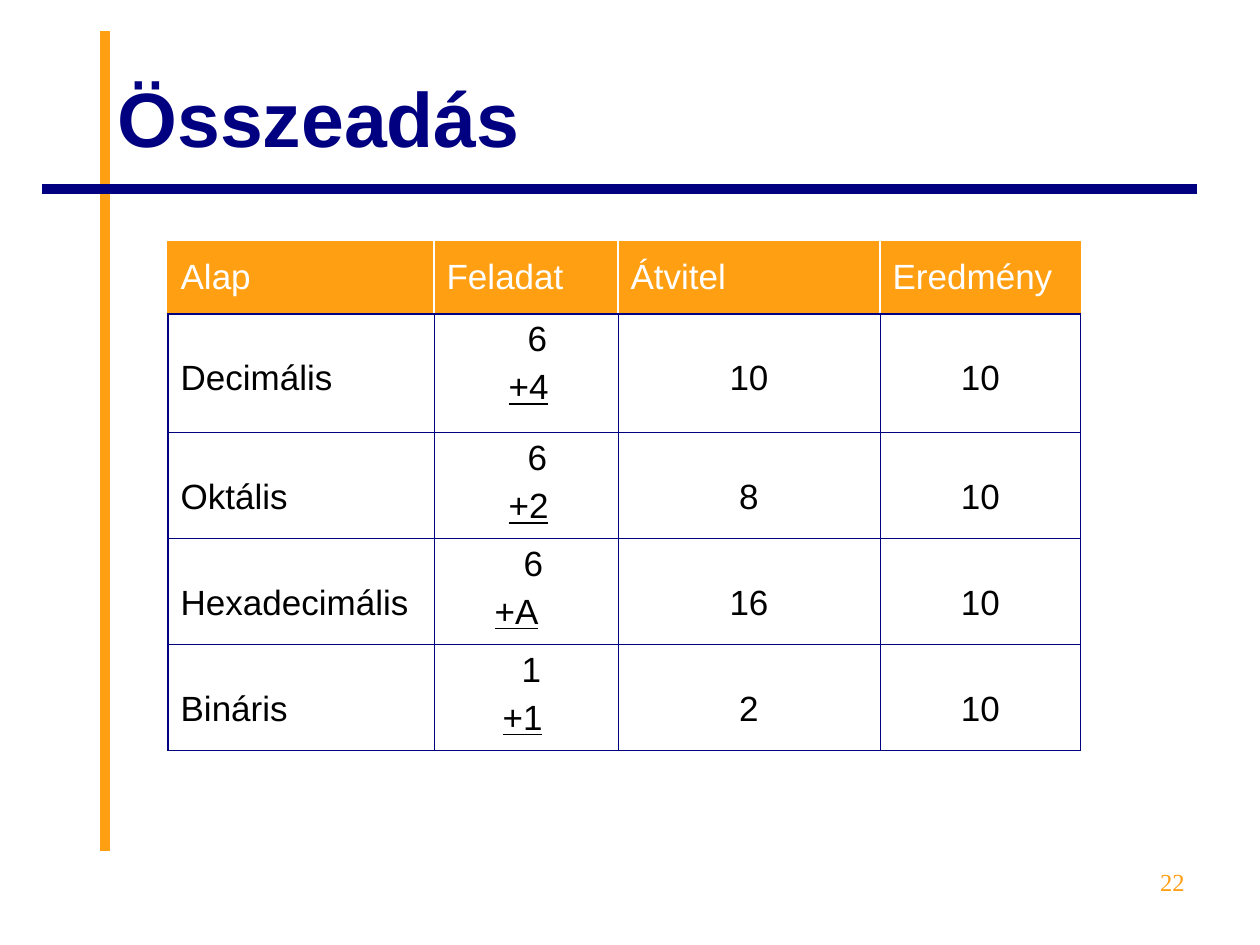
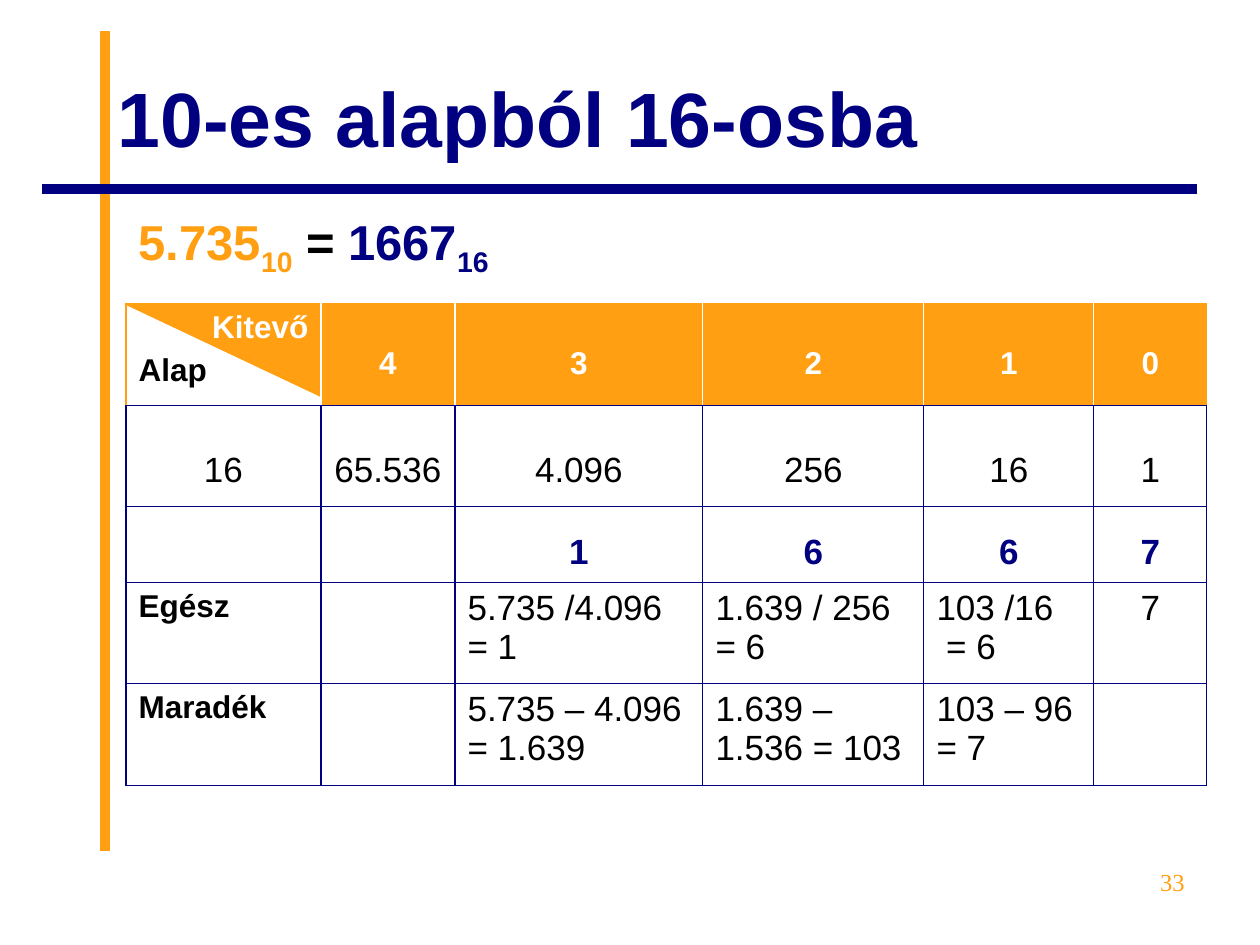
from lxml import etree
from pptx import Presentation
from pptx.dml.color import RGBColor
from pptx.enum.shapes import MSO_CONNECTOR as CONN, MSO_SHAPE as SHAPE
from pptx.enum.text import MSO_ANCHOR as ANCHOR, PP_ALIGN as ALIGN
from pptx.oxml import parse_xml
from pptx.oxml.ns import nsdecls, qn
from pptx.util import Emu, Pt

C = {"orange": "FF9F11", "navy": "000080", "white": "FFFFFF", "black": "000000"}
PX_PER_INCH = 126
NO_TABLE_STYLE = "{2D5ABB26-0587-4C30-8999-92F81FD0307C}"


def px(n):
    return Emu(round(n * 914400 / PX_PER_INCH))


def rgb(name):
    return RGBColor.from_string(C[name])


class Deck:
    def __init__(self):
        self.prs = Presentation()
        self.prs.slide_width, self.prs.slide_height = px(1260), px(945)
        self.s = None

    def slide(self, title, number):
        """Start a slide with the crossed bars, the title and the page number."""
        self.s = self.prs.slides.add_slide(self.prs.slide_layouts[6])
        self.line(105, 851, 105, 31, "orange")
        self.line(1197, 189, 42, 189, "navy")
        self.text(title, 105, 38, 1092, 157, size=44, color="navy", bold=True)
        self.text(str(number), 903, 861, 294, 65, anchor=ANCHOR.TOP, size=14,
                  color="orange", font="Times New Roman", align=ALIGN.RIGHT)

    def line(self, x1, y1, x2, y2, color):
        ln = self.s.shapes.add_connector(CONN.STRAIGHT, px(x1), px(y1), px(x2), px(y2))
        ln.line.color.rgb = rgb(color)
        ln.line.width = Pt(5.5)
        etree.SubElement(ln._element.spPr, qn("a:effectLst"))

    def shape(self, kind, x, y, w, h, color, rotation=0):
        sp = self.s.shapes.add_shape(kind, px(x), px(y), px(w), px(h))
        sp.shadow.inherit = False
        sp.fill.solid()
        sp.fill.fore_color.rgb = rgb(color)
        sp.line.fill.background()
        sp.rotation = rotation

    def text(self, text, x, y, w, h, anchor=ANCHOR.MIDDLE, **style):
        tf = self.s.shapes.add_textbox(px(x), px(y), px(w), px(h)).text_frame
        tf.word_wrap = True
        tf.vertical_anchor = anchor
        self.para(tf.paragraphs[0], text, **style)

    def para(self, p, text, size=20, color="black", bold=False, font="Arial",
             align=ALIGN.LEFT, spacing=1.0, before=0, indent=0, underline=False):
        p.text = text
        p.alignment = align
        p.line_spacing = spacing
        p.space_before = Pt(before)
        if indent:
            pPr = p._p.get_or_add_pPr()
            pPr.set("marL", str(px(indent)))
            pPr.set("indent", "0")
        for r in p.runs:
            self.style(r, size, color, bold, font, underline)

    def style(self, r, size, color, bold, font="Arial", underline=False):
        r.font.size = Pt(size)
        r.font.color.rgb = rgb(color)
        r.font.bold = bold
        r.font.name = font
        r.font.underline = underline

    def table(self, x, y, cols, rows, header, inner=0.75):
        """Add a ruled table whose row number `header` is the orange one."""
        frame = self.s.shapes.add_table(len(rows), len(cols), px(x), px(y),
                                        px(sum(cols)), px(sum(rows)))
        tb = frame.table
        tb.first_row = tb.horz_banding = False
        tb._tbl.tblPr.find(qn("a:tableStyleId")).text = NO_TABLE_STYLE
        for col, w in zip(tb.columns, cols):
            col.width = px(w)
        for row, h in zip(tb.rows, rows):
            row.height = px(h)
        last = len(cols) - 1
        for i in range(len(rows)):
            for j in range(len(cols)):
                cell = tb.cell(i, j)
                if i < header:
                    self.borders(cell, "white", "white", "white", "orange")
                elif i == header:
                    self.borders(cell, "white" if j else "orange",
                                 "white" if j < last else "orange", "orange", "navy")
                else:
                    self.borders(cell, "navy", "navy", "navy", "navy",
                                 inner if j else 0.75, inner if j < last else 0.75)
                if i == header:
                    cell.fill.solid()
                    cell.fill.fore_color.rgb = rgb("orange")
                else:
                    cell.fill.background()
        return tb

    def borders(self, cell, left, right, top, bottom, left_w=0.75, right_w=0.75):
        tcPr = cell._tc.get_or_add_tcPr()
        sides = (("L", left, left_w), ("R", right, right_w),
                 ("T", top, 0.75), ("B", bottom, 0.75))
        for side, color, width in sides:
            tcPr.append(parse_xml(
                f'<a:ln{side} {nsdecls("a")} w="{Pt(width)}"><a:solidFill>'
                f'<a:srgbClr val="{C[color]}"/></a:solidFill></a:ln{side}>'))

    def row(self, tb, i, texts, start=0, **style):
        """Fill one cell per text along row i, from column `start` on."""
        for j, text in enumerate(texts, start):
            self.para(tb.cell(i, j).text_frame.paragraphs[0], text, **style)


def addition_slide(deck):
    deck.slide("Összeadás", 22)
    tb = deck.table(168, 242, [266, 184, 262, 201], [72, 119, 106, 106, 106],
                    header=0, inner=0.45)
    deck.row(tb, 0, ["Alap", "Feladat", "Átvitel", "Eredmény"],
             color="white", spacing=1.25)
    # base, first term, its indent, second term, its indent, carry
    sums = [("Decimális", "6", 81, "+4", 62, "10"),
            ("Oktális", "6", 81, "+2", 62, "8"),
            ("Hexadecimális", "6", 77, "+A", 48, "16"),
            ("Bináris", "1", 75, "+1", 56, "2")]
    for i, (base, a, a_indent, b, b_indent, carry) in enumerate(sums, 1):
        deck.row(tb, i, [base], spacing=2.0)
        deck.row(tb, i, [carry, "10"], start=2, spacing=2.0, align=ALIGN.CENTER)
        tf = tb.cell(i, 1).text_frame
        deck.para(tf.paragraphs[0], a, indent=a_indent)
        deck.para(tf.add_paragraph(), b, indent=b_indent, before=5, underline=True)


def conversion_slide(deck):
    deck.slide("10-es alapból 16-osba", 33)
    deck.shape(SHAPE.RIGHT_TRIANGLE, 126, 305, 199, 94, "orange", rotation=180)
    tb = deck.table(126, 210, [195, 134, 248, 221, 170, 113],
                    [94, 102, 101, 76, 101, 102], header=1)

    formula = tb.cell(0, 0)
    formula.merge(tb.cell(0, 5))
    p = formula.text_frame.paragraphs[0]
    for text, color, sub in [("5.735", "orange", False), ("10", "orange", True),
                             (" = ", "black", False),
                             ("1667", "navy", False), ("16", "navy", True)]:
        r = p.add_run()
        r.text = text
        deck.style(r, 28, color, True)
        if sub:
            r._r.get_or_add_rPr().set("baseline", "-25000")

    corner = tb.cell(1, 0)
    corner.fill.background()
    tf = corner.text_frame
    deck.para(tf.paragraphs[0], "Kitevő", size=18, color="white", bold=True,
              align=ALIGN.RIGHT)
    deck.para(tf.add_paragraph(), "Alap", size=18, bold=True, before=4.5)

    center = ALIGN.CENTER
    deck.row(tb, 1, "43210", start=1, size=18, color="white", bold=True,
             align=center, spacing=2.0)
    deck.row(tb, 2, ["16", "65.536", "4.096", "256", "16", "1"],
             align=center, spacing=2.0)
    deck.row(tb, 3, "1667", start=2, color="navy", bold=True, align=center, spacing=1.5)
    for i, label in enumerate(["Egész", "Maradék"], 4):
        deck.row(tb, i, [label], size=18, bold=True)
    deck.row(tb, 4, ["5.735 /4.096 = 1", "1.639 / 256\v= 6", "103 /16\v = 6"], start=2)
    deck.row(tb, 4, ["7"], start=5, align=center)
    deck.row(tb, 5, ["5.735 – 4.096 = 1.639", "1.639 –1.536 = 103", "103 – 96 = 7"],
             start=2)


def main():
    deck = Deck()
    addition_slide(deck)
    conversion_slide(deck)
    deck.prs.save("out.pptx")


if __name__ == "__main__":
    main()
